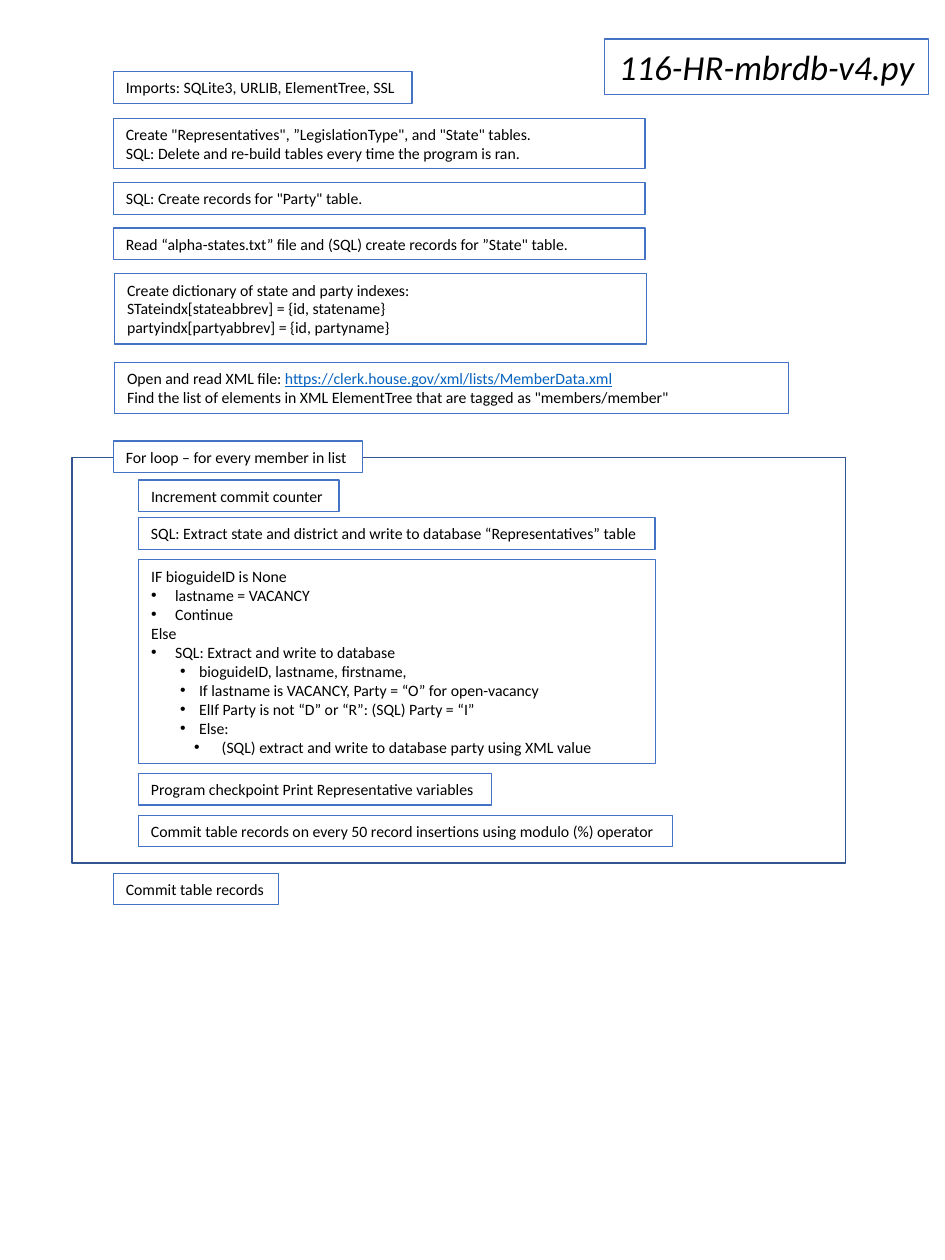
from dataclasses import dataclass

from lxml import etree
from pptx import Presentation
from pptx import util as u
from pptx.dml import color
from pptx.enum import shapes, text
from pptx.oxml import ns

BLACK, WHITE, BLUE, NAVY, LINK = "000000", "FFFFFF", "4472C4", "325491", "0563C1"
MAIN, INNER = 0.9, 1.1  # left edges of the outer steps and of the loop steps
ROW = 0.25
URL = "https://clerk.house.gov/xml/lists/MemberData.xml"


@dataclass
class Step:
    left: float
    top: float
    width: float
    lines: list[str]
    height: float = ROW
    wrap: bool = False
    fill: str | None = None


@dataclass
class ListLine:
    words: str
    level: int = 0
    margin: float = 0
    hanging: float = 0


STEPS = [
    Step(MAIN, 0.57, 2.37, ["Imports: SQLite3, URLIB, ElementTree, SSL"]),
    Step(MAIN, 0.94, 4.22, [
        'Create "Representatives", ”LegislationType", and "State" tables.',
        "SQL: Delete and re-build tables every time the program is ran."], 0.4, True),
    Step(MAIN, 1.45, 4.22, ['SQL: Create records for "Party" table.'], wrap=True),
    Step(MAIN, 1.81, 4.22, [
        'Read “alpha-states.txt” file and (SQL) create records for ”State" table.'], wrap=True),
    Step(0.91, 2.17, 4.22, [
        "Create dictionary of state and party indexes:",
        "STateindx[stateabbrev] = {id, statename}",
        "partyindx[partyabbrev] = {id, partyname}"], 0.56, True),
    Step(0.91, 2.88, 5.35, [
        f"Open and read XML file: {URL}",
        'Find the list of elements in XML ElementTree that are tagged as "members/member"'],
        0.4, True),
    Step(MAIN, 3.5, 1.98, ["For loop – for every member in list"], fill=WHITE),
    Step(INNER, 3.81, 1.59, ["Increment commit counter"]),
    Step(INNER, 4.11, 4.1, [
        "SQL: Extract state and district and write to database “Representatives” table"]),
    Step(INNER, 6.14, 2.8, ["Program checkpoint Print Representative variables"]),
    Step(INNER, 6.47, 4.24, [
        "Commit table records on every 50 record insertions using modulo (%) operator"]),
    Step(MAIN, 6.93, 1.31, ["Commit table records"]),
]

FIRST, SECOND, THIRD = (0, 0.19, 0.19), (1, 0.38, 0.15), (2, 0.56, 0.22)
BRANCHES = [
    ListLine("IF bioguideID is None"),
    ListLine("lastname = VACANCY", *FIRST),
    ListLine("Continue", *FIRST),
    ListLine("Else"),
    ListLine("SQL: Extract and write to database", *FIRST),
    ListLine("bioguideID, lastname, firstname,", *SECOND),
    ListLine("If lastname is VACANCY, Party = “O” for open-vacancy", *SECOND),
    ListLine("ElIf Party is not “D” or “R”: (SQL) Party = “I”", *SECOND),
    ListLine("Else:", *SECOND),
    ListLine("(SQL) extract and write to database party using XML value", *THIRD),
]


def rgb(value: str) -> color.RGBColor:
    return color.RGBColor.from_string(value)


def format_font(font, hue: str = BLACK, **changes) -> None:
    values = {"name": "Calibri", "size": u.Pt(9)} | changes
    for name, value in values.items():
        setattr(font, name, value)
    font.color.rgb = rgb(hue)


def outline(box, hue: str = BLUE, points: float = 0.75) -> None:
    box.line.color.rgb = rgb(hue)
    box.line.width = u.Pt(points)


def place(box, left: float, top: float, width: float, height: float) -> None:
    values = {"left": left, "top": top, "width": width, "height": height}
    for name, value in values.items():
        setattr(box, name, u.Inches(value))


def set_frame(frame, wrap: bool) -> None:
    """Keep the box at its given size, with its text in the middle."""
    values = {"word_wrap": wrap, "auto_size": text.MSO_AUTO_SIZE.NONE,
              "vertical_anchor": text.MSO_ANCHOR.MIDDLE}
    for name, value in values.items():
        setattr(frame, name, value)


def add_loop_frame(page) -> None:
    area = map(u.Inches, (0.57, 3.63, 6.14, 3.22))
    box = page.shapes.add_shape(shapes.MSO_SHAPE.RECTANGLE, *area)
    box.shadow.inherit = False
    box.fill.background()
    outline(box, NAVY, 1)


def add_step(page, step: Step) -> None:
    area = map(u.Inches, (step.left, step.top, step.width, step.height))
    box = page.shapes.add_textbox(*area)
    outline(box)
    if step.fill:
        box.fill.solid()
        box.fill.fore_color.rgb = rgb(step.fill)
    frame = box.text_frame
    set_frame(frame, step.wrap)
    for index, line in enumerate(step.lines):
        para = frame.paragraphs[0] if index == 0 else frame.add_paragraph()
        before, link, _ = line.partition(URL)
        span = para.add_run()
        span.text = before
        format_font(span.font)
        if link:
            span = para.add_run()
            span.text = link
            format_font(span.font, LINK, underline=True)


def set_bullet(para, line: ListLine) -> None:
    props = para._p.get_or_add_pPr()
    props.set("marL", str(u.Inches(line.margin)))
    props.set("indent", str(-u.Inches(line.hanging)))
    if line.hanging:
        etree.SubElement(props, ns.qn("a:buFont"), typeface="Arial")
        etree.SubElement(props, ns.qn("a:buChar"), char="•")
    else:
        etree.SubElement(props, ns.qn("a:buNone"))


def fill_branches(body) -> None:
    place(body, INNER, 4.44, 4.1, 1.62)
    outline(body)
    frame = body.text_frame
    set_frame(frame, True)
    for index, line in enumerate(BRANCHES):
        para = frame.paragraphs[0] if index == 0 else frame.add_paragraph()
        para.level = line.level
        set_bullet(para, line)
        para.space_before = u.Pt(0)
        span = para.add_run()
        span.text = line.words
        format_font(span.font)


def fill_title(title) -> None:
    place(title, 4.8, 0.31, 2.57, 0.44)
    outline(title)
    set_frame(title.text_frame, False)
    para = title.text_frame.paragraphs[0]
    para.alignment = text.PP_ALIGN.CENTER
    span = para.add_run()
    span.text = "116-HR-mbrdb-v4.py"
    format_font(span.font, size=u.Pt(20), italic=True)


def main() -> None:
    deck = Presentation()
    deck.slide_width, deck.slide_height = u.Inches(7.5), u.Inches(10)
    page = deck.slides.add_slide(deck.slide_layouts[1])
    fill_title(page.shapes.title)
    fill_branches(page.placeholders[1])
    add_loop_frame(page)
    for step in STEPS:
        add_step(page, step)
    deck.save("out.pptx")


if __name__ == "__main__":
    main()
